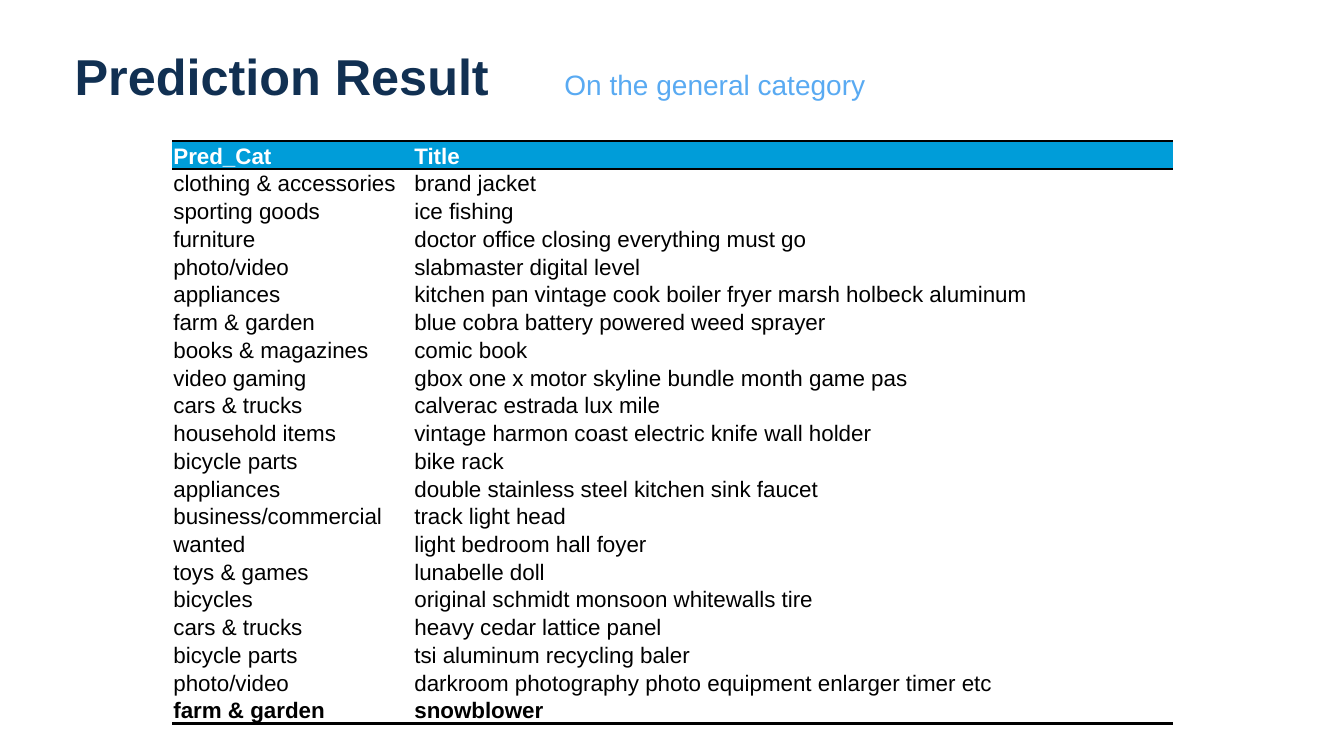
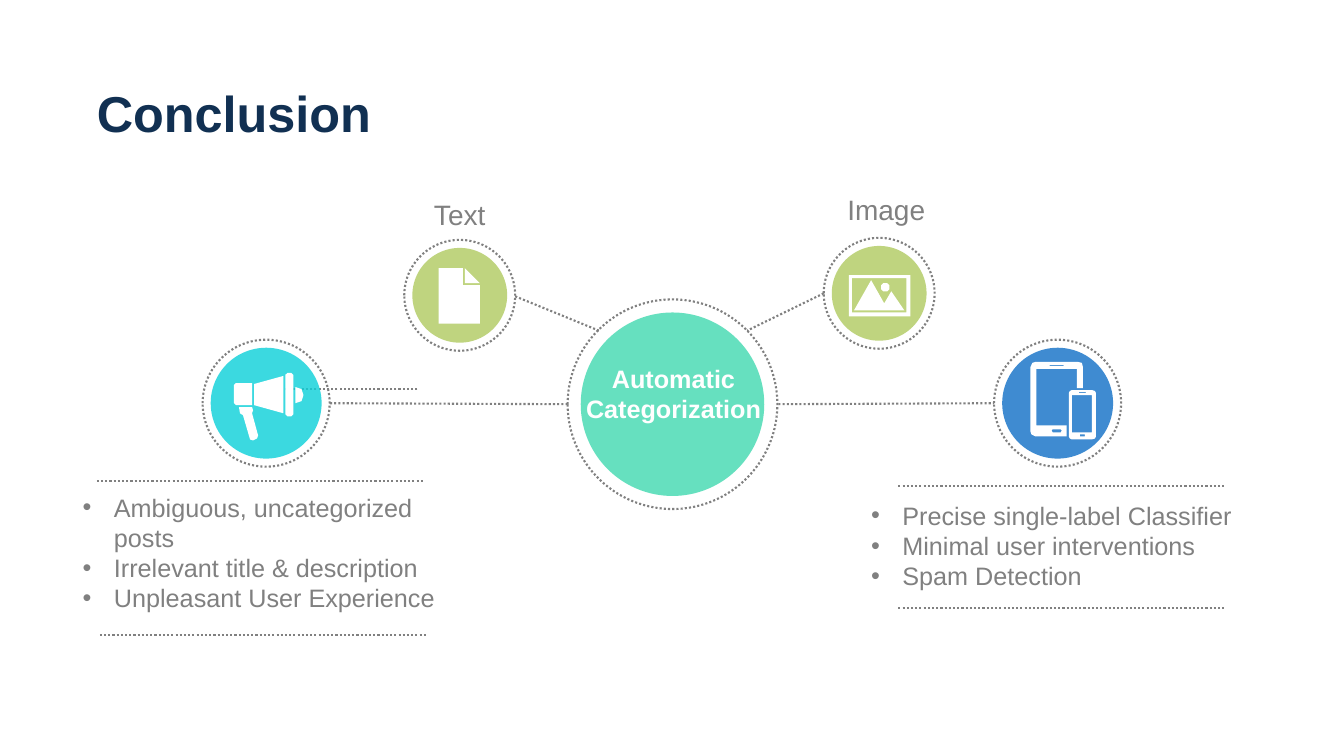
from dataclasses import dataclass
from math import cos, pi, sin

from lxml import etree
from pptx import Presentation
from pptx import util as u
from pptx.dml.color import RGBColor
from pptx.enum import dml, shapes, text
from pptx.oxml import parse_xml
from pptx.oxml import ns


@dataclass(frozen=True)
class Theme:
    font: str = "Arial"
    navy: str = "113052"
    sky: str = "59AAF2"
    header: str = "009DD9"
    blue: str = "0F6FC6"
    cyan: str = "0BD0D9"
    mint: str = "10CF9B"
    green: str = "A5C249"
    gray: str = "808080"
    black: str = "000000"
    white: str = "FFFFFF"
    title_size: int = 36
    label_size: int = 20
    body_size: int = 18
    table_size: int = 16


theme = Theme()
PX = u.Inches(1) // 100
LEFT, CENTER = text.PP_ALIGN.LEFT, text.PP_ALIGN.CENTER


def write(frame, lines, size, color, bold=False, align=LEFT, inset=None):
    """Fill a text frame; inset is (side, top) in px, None for table cells."""
    if inset:
        frame.word_wrap = True
        frame.auto_size = text.MSO_AUTO_SIZE.NONE
        frame.vertical_anchor = text.MSO_ANCHOR.TOP
        frame.margin_left = frame.margin_right = inset[0] * PX
        frame.margin_top = frame.margin_bottom = inset[1] * PX
    frame.text = "\n".join(lines)
    for paragraph in frame.paragraphs:
        paragraph.alignment = align
        paragraph.space_before = u.Pt(0)
        font = paragraph.font
        font.name, font.size, font.bold = theme.font, u.Pt(size), bold
        font.color.rgb = RGBColor.from_string(color)


def paint(shape, color=None, opacity=100):
    """Fill a shape, or give it a dotted outline when there is no colour."""
    shape.shadow.inherit = False
    if color is None:
        shape.fill.background()
        shape.line.color.rgb = RGBColor.from_string(theme.gray)
        shape.line.width = u.Pt(1.5)
        shape.line.dash_style = dml.MSO_LINE.ROUND_DOT
        return
    shape.line.fill.background()
    shape.fill.solid()
    shape.fill.fore_color.rgb = RGBColor.from_string(color)
    if opacity < 100:
        color_node = shape.fill._xPr.find(".//" + ns.qn("a:srgbClr"))
        etree.SubElement(color_node, ns.qn("a:alpha"), val=str(opacity * 1000))


presentation = Presentation()
presentation.slide_width, presentation.slide_height = 1333 * PX, 750 * PX
TITLE_ONLY, TWO_CONTENT = presentation.slide_layouts[5], presentation.slide_layouts[3]

# Slides and their titles
result_slide = presentation.slides.add_slide(TITLE_ONLY)
conclusion_slide = presentation.slides.add_slide(TWO_CONTENT)
for slide, title, left, top, width in [
    (result_slide, "Prediction Result", 74, 45, 450),
    (conclusion_slide, "Conclusion", 96, 81, 450),
]:
    shape = slide.shapes.title
    shape.left, shape.top, shape.width, shape.height = (
        left * PX, top * PX, width * PX, 61 * PX)
    write(shape.text_frame, [title], theme.title_size, theme.navy, True, inset=(0, 0))

# Text boxes: subtitle and circle labels
for slide, lines, left, top, width, height, size, color, bold, align in [
    (result_slide, ["On the general category"], 550, 62, 321, 44,
     theme.label_size, theme.sky, False, LEFT),
    (conclusion_slide, ["Text"], 406, 191, 100, 44,
     theme.label_size, theme.gray, False, CENTER),
    (conclusion_slide, ["Image"], 819, 186, 120, 44,
     theme.label_size, theme.gray, False, CENTER),
]:
    box = slide.shapes.add_textbox(left * PX, top * PX, width * PX, height * PX)
    write(box.text_frame, lines, size, color, bold, align, (10, 5))

# Prediction table
predictions = [
    ("Pred_Cat", "Title"),
    ("clothing & accessories", "brand jacket"),
    ("sporting goods", "ice fishing"),
    ("furniture", "doctor office closing everything must go"),
    ("photo/video", "slabmaster digital level"),
    ("appliances", "kitchen pan vintage cook boiler fryer marsh holbeck aluminum"),
    ("farm & garden", "blue cobra battery powered weed sprayer"),
    ("books & magazines", "comic book"),
    ("video gaming", "gbox one x motor skyline bundle month game pas"),
    ("cars & trucks", "calverac estrada lux mile"),
    ("household items", "vintage harmon coast electric knife wall holder"),
    ("bicycle parts", "bike rack"),
    ("appliances", "double stainless steel kitchen sink faucet"),
    ("business/commercial", "track light head"),
    ("wanted", "light bedroom hall foyer"),
    ("toys & games", "lunabelle doll"),
    ("bicycles", "original schmidt monsoon whitewalls tire"),
    ("cars & trucks", "heavy cedar lattice panel"),
    ("bicycle parts", "tsi aluminum recycling baler"),
    ("photo/video", "darkroom photography photo equipment enlarger timer etc"),
    ("farm & garden", "snowblower"),
]
last = len(predictions) - 1
table = result_slide.shapes.add_table(
    len(predictions), 2, 171 * PX, 140 * PX, 992 * PX, 578 * PX).table
NO_STYLE = "{2D5ABB26-0587-4C30-8999-92F81FD0307C}"
table._tbl.tblPr.find(ns.qn("a:tableStyleId")).text = NO_STYLE
table.horz_banding = False
for column, width in zip(table.columns, (239, 753)):
    column.width = width * PX
for row, values in enumerate(predictions):
    borders = {0: ("lnB", "lnT"), last: ("lnB",)}.get(row, ())
    for column, value in enumerate(values):
        cell = table.cell(row, column)
        cell.margin_left = cell.margin_right = cell.margin_top = PX
        cell.margin_bottom = 0
        cell.vertical_anchor = text.MSO_ANCHOR.BOTTOM
        cell.fill.solid()
        cell.fill.fore_color.rgb = RGBColor.from_string(
            theme.white if row else theme.header)
        write(cell.text_frame, [value], theme.table_size,
              theme.black if row else theme.white, row in (0, last))
        for border in borders:
            cell._tc.get_or_add_tcPr().insert(0, parse_xml(
                f'<a:{border} {ns.nsdecls("a")} w="{u.Pt(2)}"><a:solidFill>'
                f'<a:srgbClr val="{theme.black}"/></a:solidFill></a:{border}>'))

# Bulleted lists
for index, left, top, width, lines in [
    (1, 72, 483, 389, ["Ambiguous, uncategorized posts",
                       "Irrelevant title & description",
                       "Unpleasant User Experience"]),
    (2, 854, 491, 399, ["Precise single-label Classifier",
                        "Minimal user interventions",
                        "Spam Detection"]),
]:
    body = conclusion_slide.placeholders[index]
    body.left, body.top, body.width, body.height = (
        left * PX, top * PX, width * PX, 131 * PX)
    write(body.text_frame, lines, theme.body_size, theme.gray, inset=(10, 5))
    for paragraph in body.text_frame.paragraphs:
        properties = paragraph._p.get_or_add_pPr()
        properties.set("marL", str(31 * PX))
        properties.set("indent", str(-31 * PX))

# Dotted links between circles, and rules around the lists
for x1, y1, x2, y2 in [
    (772, 401, 986, 400), (817, 291, 741, 328), (563, 401, 327, 400),
    (511, 294, 594, 328), (414, 386, 273, 386),
    (96, 477, 420, 477), (99, 630, 423, 630),
    (891, 482, 1215, 482), (891, 603, 1215, 603),
]:
    link = conclusion_slide.shapes.add_connector(
        shapes.MSO_CONNECTOR.STRAIGHT, x1 * PX, y1 * PX, x2 * PX, y2 * PX)
    link.line.color.rgb = RGBColor.from_string(theme.gray)
    link.line.width = u.Pt(1.5)
    link.line.dash_style = dml.MSO_LINE.ROUND_DOT
    etree.SubElement(link._element.spPr, ns.qn("a:effectLst"))

# Discs, each inside a dotted ring
for center_x, center_y, disc, ring, color, opacity in [
    (1049, 400, 110, 126, theme.blue, 80),
    (264, 400, 110, 126, theme.cyan, 80),
    (456, 293, 94, 110, theme.green, 70),
    (872, 291, 94, 110, theme.green, 70),
    (667, 401, 182, 208, theme.mint, 64),
]:
    for diameter, fill in ((disc, color), (ring, None)):
        radius = diameter // 2
        circle = conclusion_slide.shapes.add_shape(
            shapes.MSO_SHAPE.OVAL, (center_x - radius) * PX, (center_y - radius) * PX,
            diameter * PX, diameter * PX)
        paint(circle, fill, opacity)

center_label = conclusion_slide.shapes.add_textbox(564 * PX, 355 * PX, 208 * PX, 71 * PX)
write(center_label.text_frame, ["Automatic", "Categorization"], theme.body_size,
      theme.white, True, CENTER, (10, 5))

# White icons: each is a list of contours, and inner contours are holes
sun = [(878 + 4 * cos(step * pi / 8), 285 + 4 * sin(step * pi / 8)) for step in range(16)]
horn_cap = [(293 + 8 * sin(step * pi / 8), 392 - 8 * cos(step * pi / 8)) for step in range(9)]
document_icon = [
    [(435, 266), (459, 266), (459, 283), (476, 283), (476, 321), (435, 321)],
    [(461, 266), (476, 281), (461, 281)],
]
picture_icon = [
    [(842, 273), (903, 273), (903, 314), (842, 314)],
    [(845, 276), (899, 276), (899, 310), (845, 310)],
    [(864, 278), (877, 301), (884, 289), (897, 308), (847, 308)],
    sun,
]
megaphone_icon = [
    [(237, 404), (250, 404), (251, 407), (250, 410), (256, 432), (255, 435),
     (251, 437), (248, 436), (241, 412), (238, 410)],
    [(234, 380), (250, 380), (250, 402), (234, 402), (232, 400), (232, 382)],
    [(252, 381), (281, 373), (281, 410), (252, 402)],
    [(285, 370), (289, 370), (291, 372), (291, 411), (289, 413),
     (285, 413), (283, 411), (283, 372)],
    horn_cap,
]
devices_icon = [
    [(1022, 364), (1024, 360), (1027, 359), (1069, 359), (1073, 360), (1074, 364),
     (1074, 385), (1068, 385), (1068, 366), (1028, 366), (1028, 422), (1058, 422),
     (1058, 433), (1027, 433), (1023, 431), (1022, 428)],
    [(1041, 362), (1055, 362), (1055, 363), (1041, 363)],
    [(1044, 426), (1052, 426), (1053, 427), (1052, 429), (1044, 429), (1043, 427)],
    [(1063, 387), (1083, 387), (1086, 388), (1087, 390), (1087, 433), (1086, 435),
     (1083, 436), (1063, 436), (1061, 435), (1060, 433), (1060, 390), (1061, 388)],
    [(1063, 392), (1083, 392), (1083, 429), (1063, 429)],
    [(1070, 389), (1077, 389), (1077, 390), (1070, 390)],
    [(1071, 431), (1076, 431), (1076, 433), (1071, 433)],
]
for icon in (document_icon, picture_icon, megaphone_icon, devices_icon):
    builder = conclusion_slide.shapes.build_freeform(*icon[0][0], scale=PX)
    for number, contour in enumerate(icon):
        if number:
            builder.move_to(*contour[0])
        builder.add_line_segments(contour[1:], close=True)
    paint(builder.convert_to_shape(), theme.white)

presentation.save("out.pptx")
